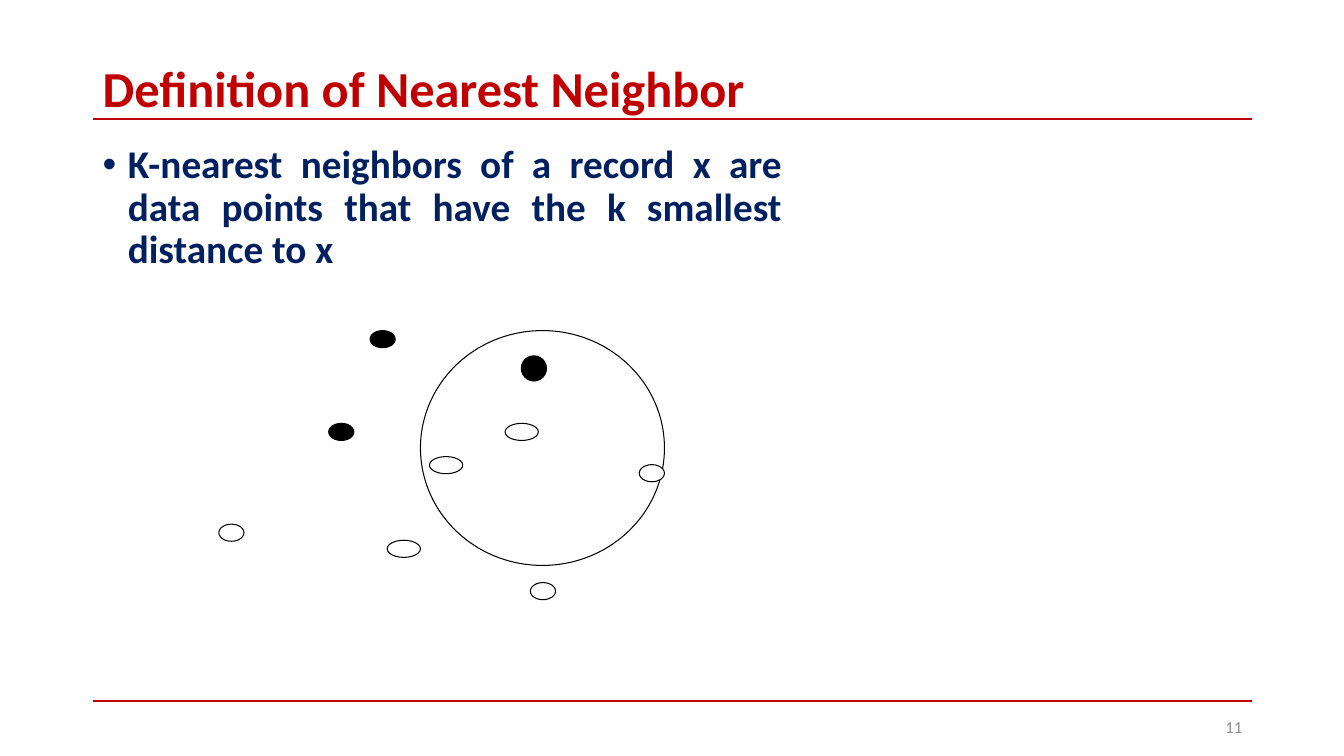
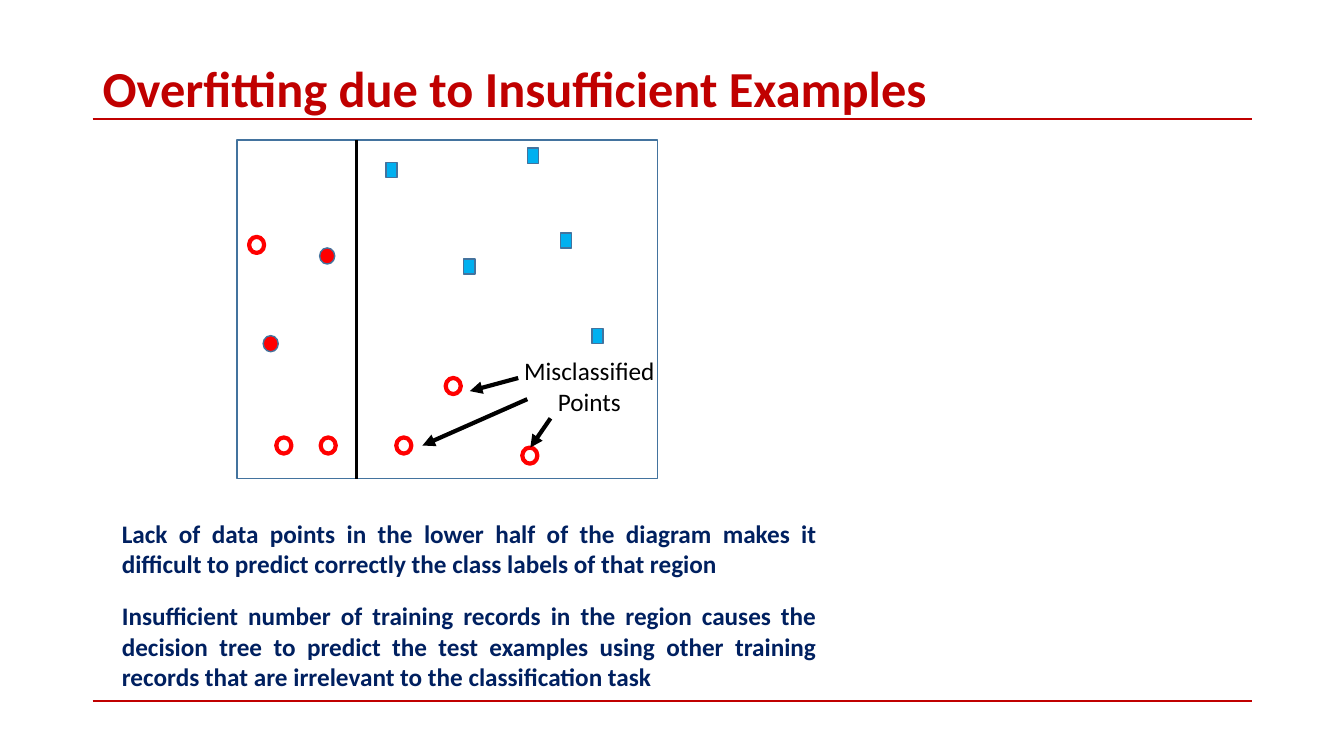
import pptx
import pptx.dml.color
import pptx.enum.shapes
import pptx.enum.text
import pptx.oxml.ns
import pptx.util
from dataclasses import dataclass
from lxml import etree

Inches = pptx.util.Inches
Pt = pptx.util.Pt
Align = pptx.enum.text.PP_ALIGN
Anchor = pptx.enum.text.MSO_ANCHOR
Preset = pptx.enum.shapes.MSO_SHAPE


@dataclass(frozen=True)
class Theme:
    font: str = "Calibri"
    accent: str = "C00000"
    body: str = "002060"
    muted: str = "8C8C8C"
    black: str = "000000"
    white: str = "FFFFFF"
    outline: str = "43739E"
    red: str = "FF0000"
    blue: str = "00B0F0"
    title_size: int = 36
    body_size: int = 28
    note_size: int = 18
    number_size: int = 12


THEME = Theme()


def rgb(color):
    return pptx.dml.color.RGBColor.from_string(color)


def add_element(parent, tag, **attributes):
    return etree.SubElement(parent, pptx.oxml.ns.qn(tag), attributes)


class Deck:
    LEFT, WIDTH = 0.92, 11.5
    RULES = (1.18, 6.95)

    def __init__(self, theme):
        self.theme = theme
        self.presentation = pptx.Presentation()
        self.presentation.slide_width = Inches(13.33)
        self.presentation.slide_height = Inches(7.5)
        self.slide = None

    def new_slide(self, title):
        """Start a slide with the shared rules and title."""
        self.slide = self.presentation.slides.add_slide(
            self.presentation.slide_layouts[6])
        for y in self.RULES:
            self.line((self.LEFT, y), (self.LEFT + self.WIDTH, y),
                      self.theme.accent, 1.5)
        self.text(title, (self.LEFT, 0.61, self.WIDTH, 0.58),
                  self.theme.title_size, self.theme.accent, bold=True,
                  anchor=Anchor.MIDDLE, line_spacing=0.9)

    def text(self, wording, box, size, color, bold=False, align=Align.LEFT,
             anchor=Anchor.TOP, line_spacing=1.0, bullet=False):
        text_box = self.slide.shapes.add_textbox(*map(Inches, box))
        frame = text_box.text_frame
        frame.word_wrap = True
        frame.vertical_anchor = anchor
        paragraph = frame.paragraphs[0]
        paragraph.alignment = align
        paragraph.line_spacing = line_spacing
        if bullet:
            properties = paragraph._p.get_or_add_pPr()
            properties.set("marL", str(Inches(0.25)))
            properties.set("indent", str(-Inches(0.25)))
            add_element(properties, "a:buFont", typeface="Arial")
            add_element(properties, "a:buChar", char="•")
        run = paragraph.add_run()
        run.text = wording
        run.font.name = self.theme.font
        run.font.size = Pt(size)
        run.font.bold = bold
        run.font.color.rgb = rgb(color)

    def note(self, wording, top, height):
        self.text(wording, (1.11, top, 7.09, height), self.theme.note_size,
                  self.theme.body, bold=True, align=Align.JUSTIFY)

    def slide_number(self, number):
        self.text(str(number), (9.42, 7.01, 3, 0.4), self.theme.number_size,
                  self.theme.muted, align=Align.RIGHT, anchor=Anchor.MIDDLE)

    def shape(self, preset, box, fill, line, weight):
        shape = self.slide.shapes.add_shape(preset, *map(Inches, box))
        shape.shadow.inherit = False
        shape.fill.solid()
        shape.fill.fore_color.rgb = rgb(fill)
        shape.line.color.rgb = rgb(line)
        shape.line.width = Pt(weight)

    def markers(self, preset, positions, size, fill, line, weight):
        """Draw equal markers at the given left and top positions."""
        for position in positions:
            self.shape(preset, (*position, *size), fill, line, weight)

    def line(self, start, end, color, weight, arrow=False):
        connector = self.slide.shapes.add_connector(
            pptx.enum.shapes.MSO_CONNECTOR.STRAIGHT,
            *map(Inches, (*start, *end)))
        connector.line.color.rgb = rgb(color)
        connector.line.width = Pt(weight)
        if arrow:
            add_element(connector.line._get_or_add_ln(), "a:tailEnd",
                        type="triangle")
        add_element(connector._element.spPr, "a:effectLst")


def nearest_neighbor_slide(deck):
    theme = deck.theme
    deck.new_slide("Definition of Nearest Neighbor")
    deck.text("K-nearest neighbors of a record x are data points that have "
              "the k smallest distance to x", (0.92, 1.39, 6.93, 5.37),
              theme.body_size, theme.body, bold=True, align=Align.JUSTIFY,
              line_spacing=0.9, bullet=True)
    deck.slide_number(11)

    small, wide = (0.25, 0.17), (0.33, 0.17)
    point_groups = (
        ([(4.17, 3.28)], (2.42, 2.33), theme.white),  # neighborhood
        ([(3.26, 4.2), (3.67, 3.28)], small, theme.black),
        ([(5.17, 3.53)], (0.25, 0.25), theme.black),
        ([(6.34, 4.61), (2.17, 5.2), (5.26, 5.78)], small, theme.white),
        ([(5.01, 4.2), (3.84, 5.36), (4.26, 4.53)], wide, theme.white),
    )
    for positions, size, fill in point_groups:
        deck.markers(Preset.OVAL, positions, size, fill, theme.black, 0.75)


def overfitting_slide(deck):
    theme = deck.theme
    deck.new_slide("Overfitting due to Insufficient Examples")

    left, top, width, height = plot = (2.35, 1.39, 4.17, 3.36)
    deck.shape(Preset.RECTANGLE, plot, theme.white, theme.outline, 1)
    boundary = left + 1.19
    deck.line((boundary, top), (boundary, top + height), theme.black, 2.25)

    circle, square = (0.15, 0.16), (0.11, 0.15)
    deck.markers(Preset.OVAL, [(3.17, 2.46), (2.61, 3.33)], circle,
                 theme.red, theme.outline, 1)
    deck.markers(Preset.RECTANGLE,
                 [(3.83, 1.61), (5.56, 2.31), (4.6, 2.57), (5.23, 1.47),
                  (5.87, 3.26)], square, theme.blue, theme.outline, 1)
    deck.markers(Preset.OVAL,
                 [(5.18, 4.44), (3.93, 4.34), (4.42, 3.75), (3.18, 4.34),
                  (2.74, 4.34), (2.47, 2.35)], circle,
                 theme.white, theme.red, 3)

    deck.text("Misclassified Points", (5.04, 3.48, 1.61, 0.71),
              theme.note_size, theme.black, align=Align.CENTER)
    for start, end in (((5.23, 3.96), (4.19, 4.42)),
                       ((5.46, 4.15), (5.26, 4.44)),
                       ((5.14, 3.75), (4.66, 3.88))):
        deck.line(start, end, theme.black, 3, arrow=True)

    deck.note("Lack of data points in the lower half of the diagram makes it "
              "difficult to predict correctly the class labels of that region",
              5.09, 0.71)
    deck.note("Insufficient number of training records in the region causes "
              "the decision tree to predict the test examples using other "
              "training records that are irrelevant to the classification "
              "task", 5.91, 1.01)


def main():
    deck = Deck(THEME)
    nearest_neighbor_slide(deck)
    overfitting_slide(deck)
    deck.presentation.save("out.pptx")


if __name__ == "__main__":
    main()
